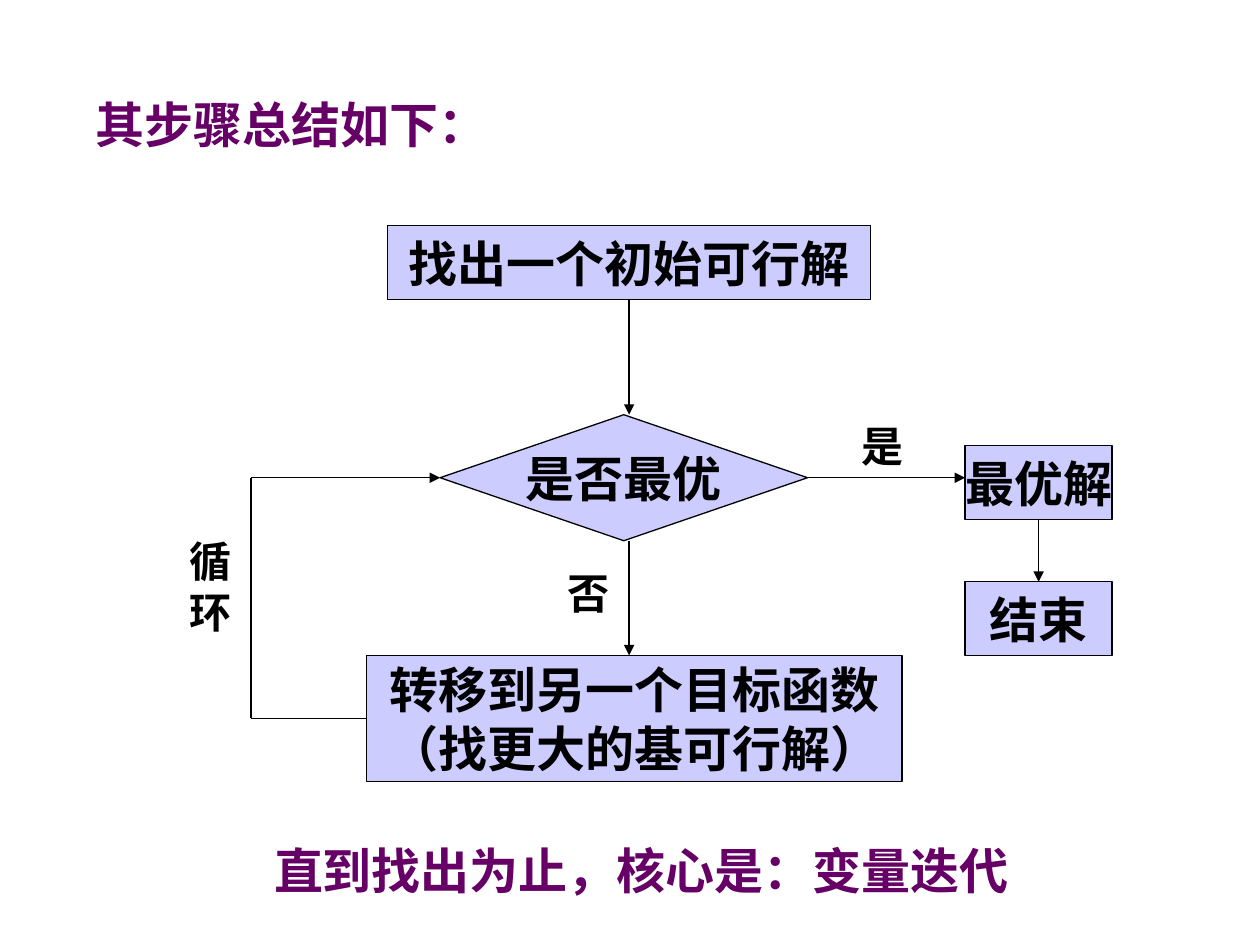
from lxml import etree
from pptx import Presentation
from pptx.dml.color import RGBColor
from pptx.enum.shapes import MSO_CONNECTOR, MSO_SHAPE
from pptx.enum.text import MSO_ANCHOR, MSO_AUTO_SIZE, PP_ALIGN
from pptx.oxml.ns import qn
from pptx.util import Pt

RECTANGLE, DIAMOND = MSO_SHAPE.RECTANGLE, MSO_SHAPE.DIAMOND
STRAIGHT = MSO_CONNECTOR.STRAIGHT
MIDDLE, TOP = MSO_ANCHOR.MIDDLE, MSO_ANCHOR.TOP
CENTER, LEFT = PP_ALIGN.CENTER, PP_ALIGN.LEFT
FIT_SHAPE, FIT_NONE = MSO_AUTO_SIZE.SHAPE_TO_FIT_TEXT, MSO_AUTO_SIZE.NONE

COLORS = {"fill": "CCCCFF", "ink": "000000", "accent": "660066"}
FONT = "Times New Roman"

STEPS = {
    "start": (RECTANGLE, (221.5, 129, 276, 42), ["找出一个初始可行解"]),
    "check": (DIAMOND, (251.5, 237, 210, 72), ["是否最优"]),
    "move": (RECTANGLE, (209.5, 374.5, 306, 72),
             ["转移到另一个目标函数", "（找更大的基可行解）"]),
    "best": (RECTANGLE, (551.5, 254.75, 84, 42), ["最优解"]),
    "end": (RECTANGLE, (551.5, 332.5, 84, 42), ["结束"]),
}
LABELS = [
    ((485.5, 237, 39, 36), ["是"], 24, "ink", False),
    ((317.5, 320.5, 39, 36), ["否"], 24, "ink", False),
    ((101.5, 302.5, 39, 65), ["循", "环"], 24, "ink", False),
    ((149.5, 476.5, 438.5, 41), ["直到找出为止，核心是：变量迭代"], 28, "accent", False),
    ((47.5, 50.5, 300, 48), ["其步骤总结如下："], 28, "accent", True),
]
LOOP_X = 143.5


def color(name):
    return RGBColor.from_string(COLORS[name])


def write(shape, lines, size, ink, align, anchor, wrap, fit):
    frame = shape.text_frame
    frame.word_wrap = wrap
    frame.auto_size = fit
    frame.vertical_anchor = anchor
    for index, line in enumerate(lines):
        para = frame.add_paragraph() if index else frame.paragraphs[0]
        para.alignment = align
        span = para.add_run()
        span.text = line
        span.font.name = FONT
        span.font.size = Pt(size)
        span.font.bold = True
        span.font.color.rgb = color(ink)


def outline(shape):
    shape.line.color.rgb = color("ink")
    shape.line.width = Pt(0.75)


def add_step(page, kind, place, lines):
    shape = page.shapes.add_shape(kind, *map(Pt, place))
    shape.shadow.inherit = False
    shape.fill.solid()
    shape.fill.fore_color.rgb = color("fill")
    outline(shape)
    write(shape, lines, 28, "ink", CENTER, MIDDLE, False, FIT_NONE)


def add_line(page, begin, finish, arrow=True):
    line = page.shapes.add_connector(STRAIGHT, *map(Pt, begin + finish))
    outline(line)
    if arrow:
        etree.SubElement(line.line._get_or_add_ln(), qn("a:tailEnd"), type="triangle")
    etree.SubElement(line._element.spPr, qn("a:effectLst"))


def side(name, across, down):
    left, top, width, height = STEPS[name][1]
    return left + width * across, top + height * down


def main():
    deck = Presentation()
    deck.slide_width, deck.slide_height = Pt(720), Pt(540)
    page = deck.slides.add_slide(deck.slide_layouts[6])

    for kind, place, lines in STEPS.values():
        add_step(page, kind, place, lines)

    for upper, lower in [("start", "check"), ("check", "move"), ("best", "end")]:
        axis = side("best" if upper == "best" else "start", 0.5, 0)[0]
        add_line(page, (axis, side(upper, 0, 1)[1]), (axis, side(lower, 0, 0)[1]))

    check_left, check_right = side("check", 0, 0.5), side("check", 1, 0.5)
    move_left = side("move", 0, 0.5)
    loop_top, loop_bottom = (LOOP_X, check_left[1]), (LOOP_X, move_left[1])
    add_line(page, check_right, (side("best", 0, 0)[0], check_right[1]))
    add_line(page, loop_top, check_left)
    add_line(page, loop_top, loop_bottom, arrow=False)
    add_line(page, loop_bottom, move_left, arrow=False)

    for place, lines, size, ink, wrap in LABELS:
        box = page.shapes.add_textbox(*map(Pt, place))
        write(box, lines, size, ink, LEFT, TOP, wrap, FIT_NONE if wrap else FIT_SHAPE)

    deck.save("out.pptx")


if __name__ == "__main__":
    main()
